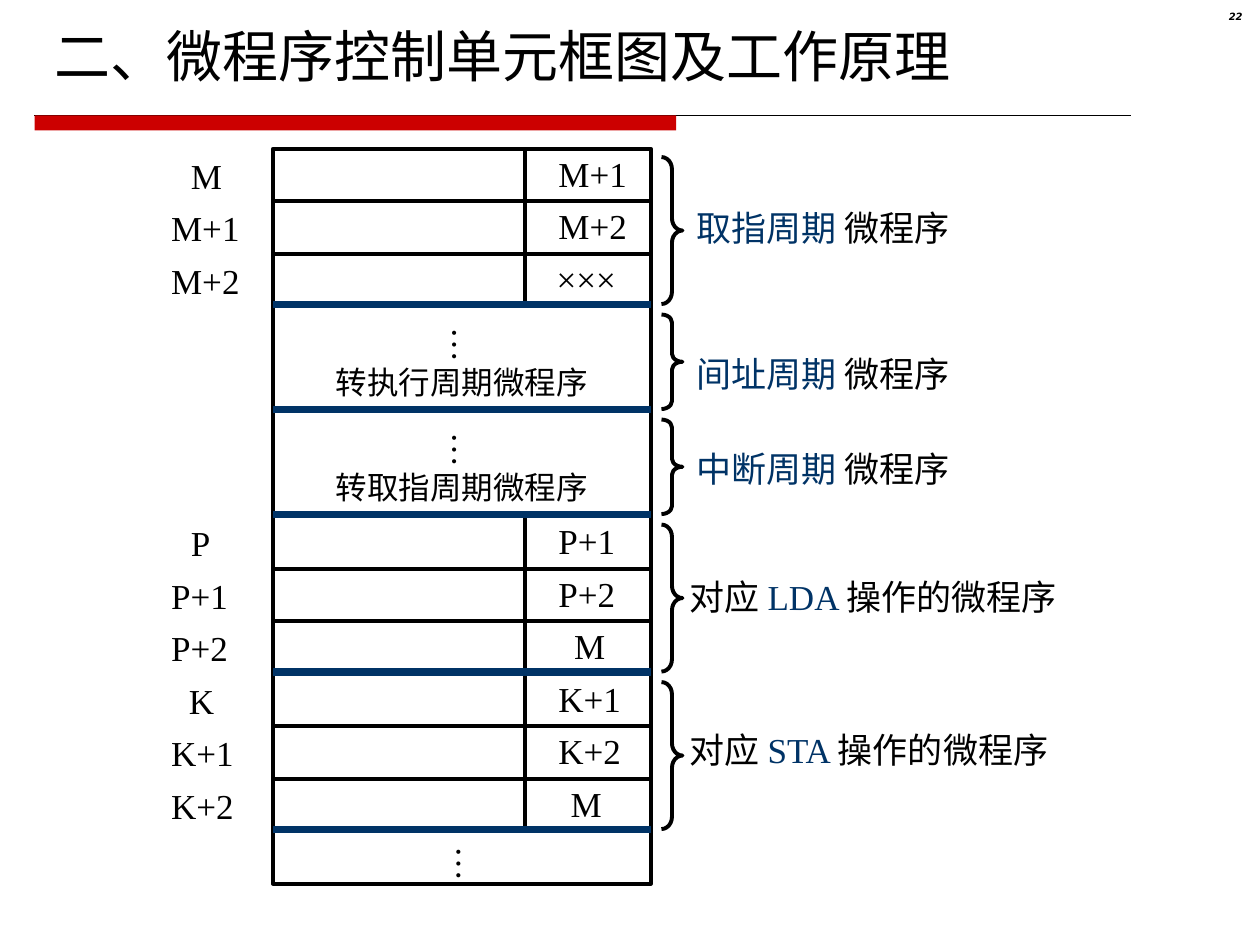
from dataclasses import dataclass

import pptx
import pptx.dml.color
import pptx.enum.shapes
import pptx.enum.text
import pptx.oxml.ns
import pptx.util
from lxml import etree

Pt = pptx.util.Pt
ALIGN = pptx.enum.text.PP_ALIGN
SHAPES = pptx.enum.shapes.MSO_SHAPE
COLORS = {"ink": "000000", "accent": "003366", "bar": "CC0000"}
SERIF = "Times New Roman"
MEMORY_LEFT, MEMORY_TOP, MEMORY_WIDTH, ROW_HEIGHT = 156, 85, 216, 30
DIVIDER_X = 300
LABEL_HEIGHT = 31.7
LABEL_WIDTHS = {"M": 32.4, "P": 25.6, "K": 29, "×××": 48.4,
                "M+1": 53.4, "M+2": 53.4, "P+1": 47, "P+2": 47,
                "K+1": 50.6, "K+2": 50.6}


@dataclass
class Run:
    text: str
    color: str = "ink"


@dataclass
class Instruction:
    row: int
    address: str
    address_left: float
    following: str
    following_left: float


@dataclass
class Routine:
    first_row: int
    rows: int
    left: float
    top: float
    width: float
    runs: list[Run]


@dataclass
class Jump:
    row: int
    text: str


INSTRUCTIONS = [
    Instruction(0, "M", 102, "M+1", 312),
    Instruction(1, "M+1", 90.7, "M+2", 312),
    Instruction(2, "M+2", 90.7, "×××", 311),
    Instruction(7, "P", 102, "P+1", 312),
    Instruction(8, "P+1", 90.7, "P+2", 312),
    Instruction(9, "P+2", 90.7, "M", 321),
    Instruction(10, "K", 100.8, "K+1", 312),
    Instruction(11, "K+1", 90.7, "K+2", 312),
    Instruction(12, "K+2", 90.7, "M", 319),
]
ROUTINES = [
    Routine(0, 3, 391, 114.5, 159, [Run("取指周期 ", "accent"), Run("微程序")]),
    Routine(3, 2, 391, 198, 159, [Run("间址周期 ", "accent"), Run("微程序")]),
    Routine(5, 2, 391, 252, 159, [Run("中断周期 ", "accent"), Run("微程序")]),
    Routine(7, 3, 387, 325.5, 235,
            [Run("对应 "), Run("LDA ", "accent"), Run("操作的微程序")]),
    Routine(10, 3, 387, 412.5, 232,
            [Run("对应 "), Run("STA ", "accent"), Run("操作的微程序")]),
]
JUMPS = [Jump(3, "转执行周期微程序"), Jump(5, "转取指周期微程序")]


def rgb(name: str) -> pptx.dml.color.RGBColor:
    return pptx.dml.color.RGBColor.from_string(COLORS[name])


def row_top(row: int) -> float:
    return MEMORY_TOP + row * ROW_HEIGHT


def add_text(slide, left: float, top: float, width: float, height: float,
             runs: list[Run], size: float = 20, wrap: bool = False,
             align=ALIGN.LEFT, font: str = SERIF, bold: bool = False,
             line_spacing: float = 1, vertical: bool = False) -> None:
    box = slide.shapes.add_textbox(Pt(left), Pt(top), Pt(width), Pt(height))
    frame = box.text_frame
    frame.word_wrap = wrap
    if not wrap:
        frame.auto_size = pptx.enum.text.MSO_AUTO_SIZE.SHAPE_TO_FIT_TEXT
    if vertical:
        frame.margin_left = frame.margin_right = Pt(3.6)
        frame.margin_top = frame.margin_bottom = Pt(7.2)
        box.element.txBody.find(pptx.oxml.ns.qn("a:bodyPr")).set("vert", "eaVert")
    paragraph = frame.paragraphs[0]
    paragraph.alignment = align
    paragraph.line_spacing = line_spacing
    for part in runs:
        run = paragraph.add_run()
        run.text = part.text
        run.font.name = font
        run.font.size = Pt(size)
        run.font.bold = run.font.italic = bold
        run.font.color.rgb = rgb(part.color)


def add_line(slide, x1: float, y1: float, x2: float, y2: float,
             color: str = "ink", weight: float = 2.25) -> None:
    line = slide.shapes.add_connector(
        pptx.enum.shapes.MSO_CONNECTOR.STRAIGHT, Pt(x1), Pt(y1), Pt(x2), Pt(y2))
    line.line.color.rgb = rgb(color)
    line.line.width = Pt(weight)
    properties = line.element.find(pptx.oxml.ns.qn("p:spPr"))
    etree.SubElement(properties, pptx.oxml.ns.qn("a:effectLst"))


def add_outline(slide, kind, left: float, top: float, width: float, height: float):
    outline = slide.shapes.add_shape(kind, Pt(left), Pt(top), Pt(width), Pt(height))
    outline.shadow.inherit = False
    outline.fill.background()
    outline.line.color.rgb = rgb("ink")
    outline.line.width = Pt(2.25)
    return outline


def add_memory_block(slide, row: int, rows: int = 1) -> None:
    add_outline(slide, SHAPES.RECTANGLE, MEMORY_LEFT, row_top(row),
                MEMORY_WIDTH, rows * ROW_HEIGHT)


def add_ellipsis(slide, left: float, top: float) -> None:
    add_text(slide, left, top, 38.2, 27.4, [Run("…")], vertical=True)


def add_label(slide, text: str, left: float, top: float) -> None:
    add_text(slide, left, top, LABEL_WIDTHS[text], LABEL_HEIGHT, [Run(text)])


def add_instruction(slide, item: Instruction) -> None:
    add_memory_block(slide, item.row)
    top = row_top(item.row)
    add_label(slide, item.address, item.address_left, top - 0.5)
    add_label(slide, item.following, item.following_left, top - 1.5)


def add_routine(slide, routine: Routine) -> None:
    height = routine.rows * ROW_HEIGHT - 6
    brace = add_outline(slide, SHAPES.RIGHT_BRACE, 378,
                        row_top(routine.first_row) + 4.75, 12, height)
    brace.adjustments[0] = height / 144
    add_text(slide, routine.left, routine.top, routine.width, LABEL_HEIGHT,
             routine.runs)
    boundary = row_top(routine.first_row + routine.rows) - 1
    add_line(slide, MEMORY_LEFT, boundary, MEMORY_LEFT + MEMORY_WIDTH, boundary,
             "accent", 4.5)


def add_jump(slide, jump: Jump) -> None:
    top = row_top(jump.row)
    add_ellipsis(slide, 244, top + 5)
    add_text(slide, MEMORY_LEFT, top + 29, MEMORY_WIDTH, 28.8,
             [Run(jump.text)], 18, wrap=True, align=ALIGN.CENTER)


def add_heading(slide) -> None:
    add_line(slide, 19.5, 65.9, 646.5, 65.9, weight=0.25)
    bar = add_outline(slide, SHAPES.RECTANGLE, 19.8, 65.9, 366.6, 8.6)
    bar.fill.solid()
    bar.fill.fore_color.rgb = rgb("bar")
    bar.line.fill.background()
    add_text(slide, 674.6, 3.6, 42.5, 16.6, [Run("22")], 5.7, wrap=True,
             align=ALIGN.RIGHT, font="DejaVu Sans", bold=True, line_spacing=0.8)
    add_text(slide, 24, 8.6, 576, 46,
             [Run("二、微程序控制单元框图及工作原理")], 32, wrap=True)


def main() -> None:
    presentation = pptx.Presentation()
    presentation.slide_width, presentation.slide_height = Pt(720), Pt(540)
    slide = presentation.slides.add_slide(presentation.slide_layouts[6])
    add_heading(slide)
    for jump in JUMPS:
        add_memory_block(slide, jump.row, 2)
    add_memory_block(slide, 13)
    for instruction in INSTRUCTIONS:
        add_instruction(slide, instruction)
    for first_row, end_row in ((0, 3), (7, 13)):
        add_line(slide, DIVIDER_X, row_top(first_row), DIVIDER_X, row_top(end_row))
    for routine in ROUTINES:
        add_routine(slide, routine)
    for jump in JUMPS:
        add_jump(slide, jump)
    add_ellipsis(slide, 246.5, 476.6)
    presentation.save("out.pptx")


if __name__ == "__main__":
    main()
